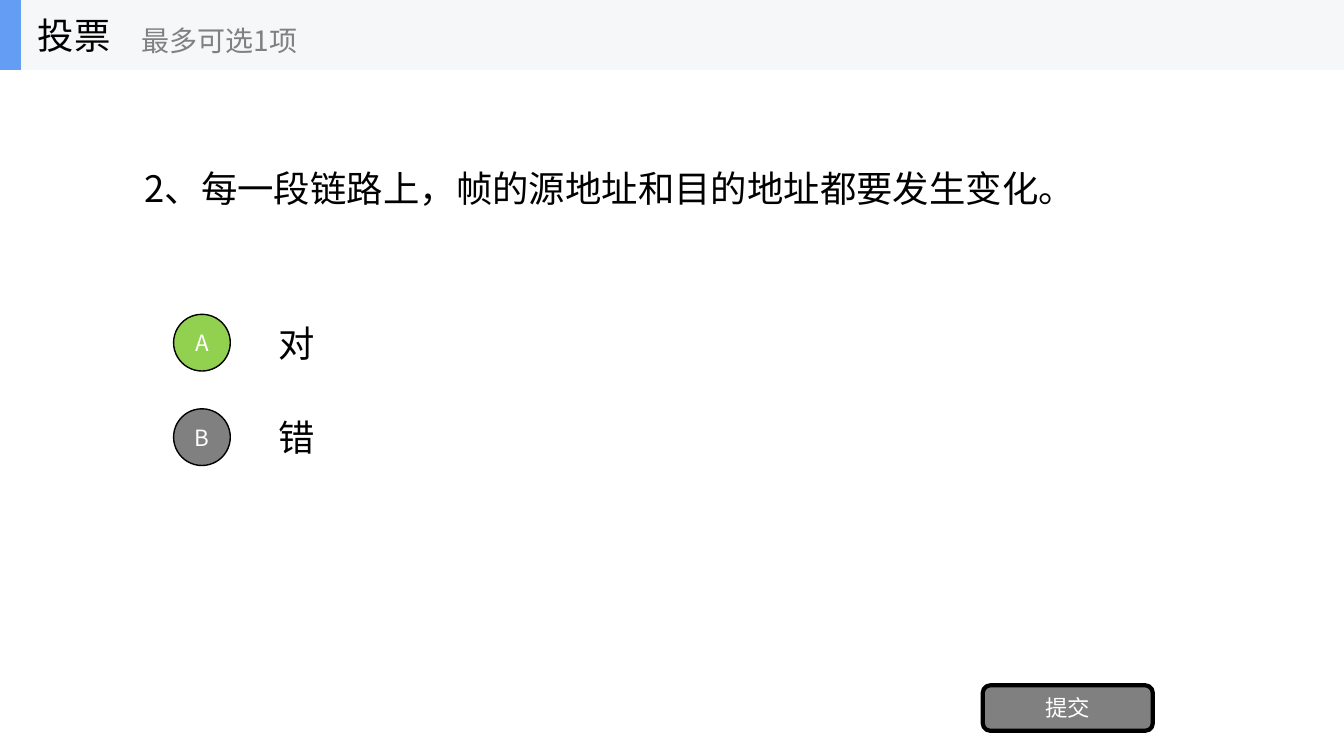
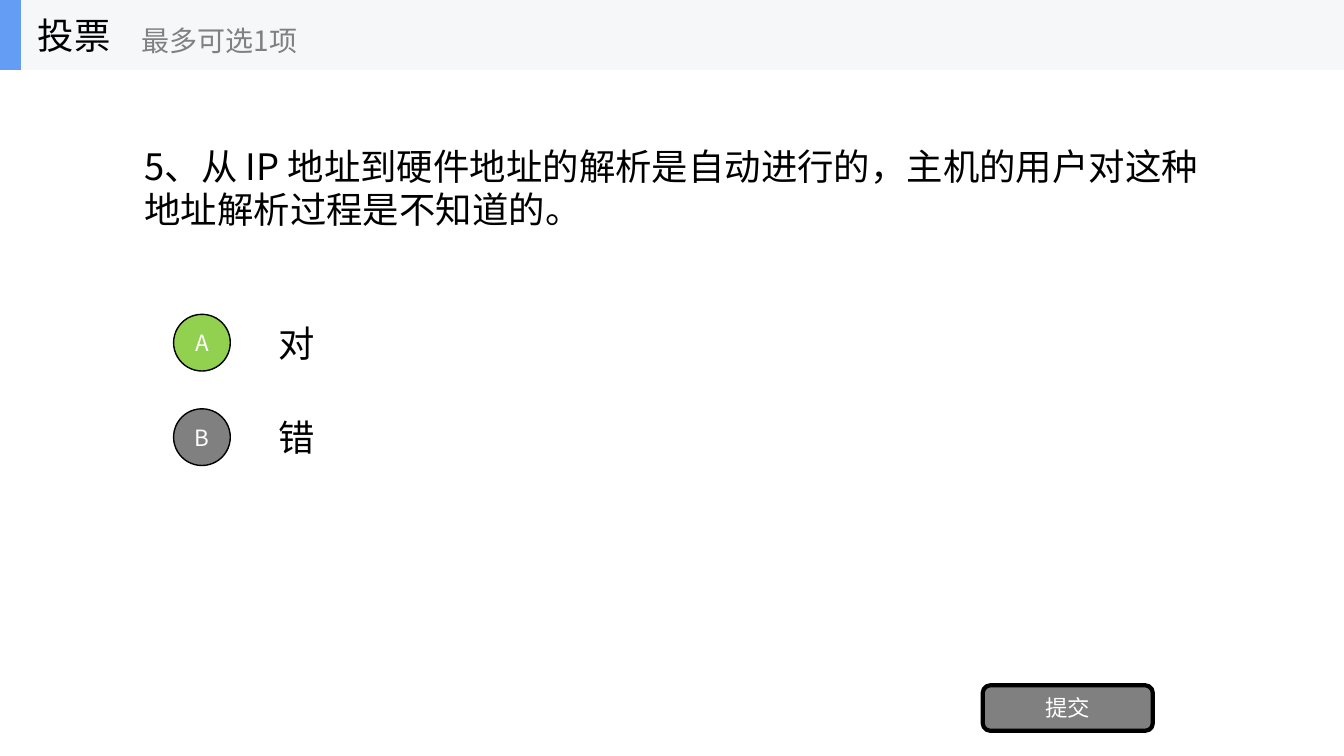
from dataclasses import dataclass

from pptx import Presentation
from pptx.dml.color import RGBColor
from pptx.enum.shapes import MSO_SHAPE
from pptx.enum.text import MSO_ANCHOR, MSO_AUTO_SIZE, PP_ALIGN
from pptx.oxml.ns import qn
from pptx.util import Pt

RECT, OVAL, ROUNDED = MSO_SHAPE.RECTANGLE, MSO_SHAPE.OVAL, MSO_SHAPE.ROUNDED_RECTANGLE
LEFT, CENTER = PP_ALIGN.LEFT, PP_ALIGN.CENTER
MIDDLE = MSO_ANCHOR.MIDDLE
NO_AUTOFIT = MSO_AUTO_SIZE.NONE
TITLE_ONLY = 5


@dataclass(frozen=True)
class Theme:
    font: str = "Noto Sans CJK SC"
    ink: str = "000000"
    white: str = "FFFFFF"
    grey: str = "808080"
    green: str = "92D050"
    band: str = "F6F7F8"
    accent: str = "639EF4"
    text_size: int = 26
    hint_size: int = 20
    label_size: int = 16


THEME = Theme()
WIDTH, HEIGHT = 960, 540
HEADER_BOX = (0, 0, WIDTH, 50)
QUESTION_BOX = (96, 50, 768, 168)
OPTIONS_BOX = (124, 219.5, 740, 118)
SUBMIT_BOX = (702, 489.5, 121.5, 32.5)

OPTIONS = (("A", "对", THEME.green), ("B", "错", THEME.grey))
QUESTIONS = (
    "2、每一段链路上，帧的源地址和目的地址都要发生变化。",
    "5、从 IP 地址到硬件地址的解析是自动进行的，主机的用户对这种地址解析过程是不知道的。",
)


def points(box):
    return [Pt(length) for length in box]


def write(shape, text, size, colour, align=LEFT):
    """Put one styled paragraph, vertically centred, into a shape."""
    frame = shape.text_frame
    frame.text = text
    frame.word_wrap = True
    frame.auto_size = NO_AUTOFIT
    frame.vertical_anchor = MIDDLE
    para = frame.paragraphs[0]
    para.alignment = align
    para.font.name = THEME.font
    para.font.size = Pt(size)
    para.font.color.rgb = RGBColor.from_string(colour)
    # The East Asian typeface needs its own element
    properties = para._p.get_or_add_pPr().get_or_add_defRPr()
    east_asian = properties.makeelement(qn("a:ea"), {"typeface": THEME.font})
    properties.append(east_asian)


def add_text(shapes, box, text, size, colour):
    write(shapes.add_textbox(*points(box)), text, size, colour)


def add_block(shapes, kind, box, fill, line_width=0):
    block = shapes.add_shape(kind, *points(box))
    block.shadow.inherit = False
    block.fill.solid()
    block.fill.fore_color.rgb = RGBColor.from_string(fill)
    if line_width:
        block.line.color.rgb = RGBColor.from_string(THEME.ink)
        block.line.width = Pt(line_width)
    else:
        block.line.fill.background()
    return block


def add_question(page, box, text):
    title = page.shapes.title
    title.left, title.top, title.width, title.height = points(box)
    write(title, text, THEME.text_size, THEME.ink)


def add_options(page, box):
    left, top, width, height = box
    row_height, disc, text_indent = 50.5, 40.5, 68
    pitch = (height - row_height) / (len(OPTIONS) - 1)
    for index, (letter, answer, fill) in enumerate(OPTIONS):
        row_top = top + index * pitch
        add_text(page.shapes,
                 (left + text_indent, row_top, width - text_indent, row_height),
                 answer, THEME.text_size, THEME.ink)
        disc_top = row_top + (row_height - disc) / 2
        badge = add_block(page.shapes, OVAL, (left, disc_top, disc, disc), fill, 1)
        write(badge, letter, THEME.label_size, THEME.white, CENTER)


def add_submit(page, box):
    button = add_block(page.shapes, ROUNDED, box, THEME.grey, 3)
    write(button, "提交", THEME.label_size, THEME.white, CENTER)


def add_header(page, box):
    left, top, width, height = box
    shapes = page.shapes.add_group_shape().shapes
    add_block(shapes, RECT, box, THEME.band)
    add_block(shapes, RECT, (left, top, 15, height), THEME.accent)
    add_text(shapes, (left + 20, top, 150, height), "投票",
             THEME.text_size, THEME.ink)
    add_text(shapes, (left + 94, top + 9, 180, height - 10), "最多可选1项",
             THEME.hint_size, THEME.grey)


def add_poll(deck, question):
    page = deck.slides.add_slide(deck.slide_layouts[TITLE_ONLY])
    add_question(page, QUESTION_BOX, question)
    add_options(page, OPTIONS_BOX)
    add_submit(page, SUBMIT_BOX)
    add_header(page, HEADER_BOX)


def main():
    deck = Presentation()
    deck.slide_width, deck.slide_height = Pt(WIDTH), Pt(HEIGHT)
    for question in QUESTIONS:
        add_poll(deck, question)
    deck.save("out.pptx")


if __name__ == "__main__":
    main()
